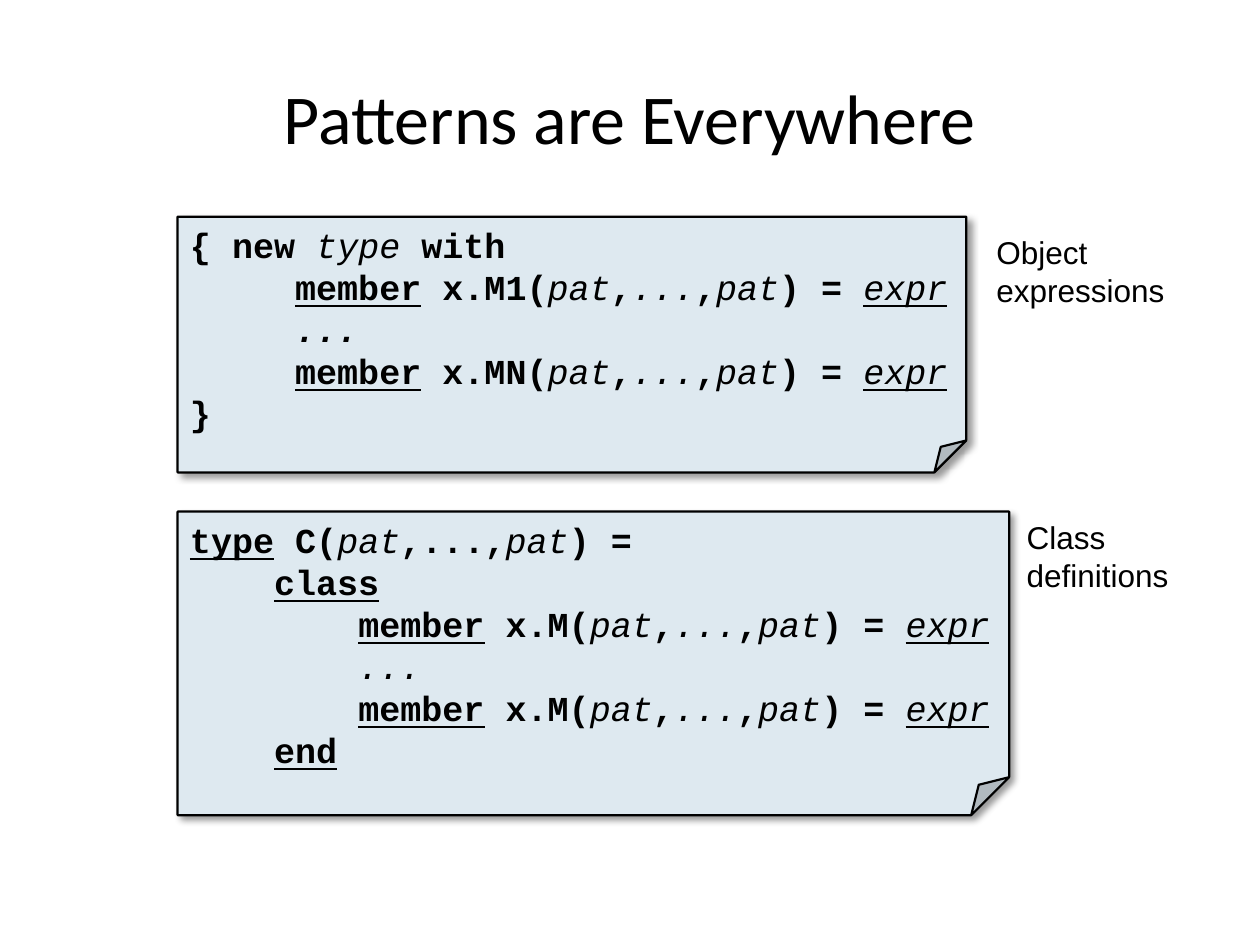
from pptx import Presentation
from pptx.dml.color import RGBColor
from pptx.enum.shapes import MSO_SHAPE
from pptx.enum.text import MSO_ANCHOR, MSO_AUTO_SIZE, PP_ALIGN
from pptx.oxml import parse_xml
from pptx.oxml.ns import nsdecls, qn
from pptx.util import Inches, Pt

FOLDED_CORNER = MSO_SHAPE.FOLDED_CORNER
TOP, MIDDLE = MSO_ANCHOR.TOP, MSO_ANCHOR.MIDDLE
GROW, FIXED = MSO_AUTO_SIZE.SHAPE_TO_FIT_TEXT, MSO_AUTO_SIZE.NONE
LEFT, CENTER = PP_ALIGN.LEFT, PP_ALIGN.CENTER

THEME = {
    "ink": RGBColor.from_string("000000"),
    "note": RGBColor.from_string("DEE9F0"),
    "title": {"name": "Calibri", "size": Pt(40)},
    "code": {"name": "Courier New", "size": Pt(20)},
    "label": {"name": "Arial", "size": Pt(18)},
}
STYLES = {
    "plain": {},
    "bold": {"bold": True},
    "keyword": {"bold": True, "underline": True},
    "italic": {"italic": True},
    "ellipsis": {"bold": True, "italic": True},
    "result": {"italic": True, "underline": True},
}


def member_line(indent, method):
    return [
        (" " * indent, "bold"), ("member", "keyword"), (f" x.{method}(", "bold"),
        ("pat", "italic"), (",", "bold"), ("...", "italic"), (",", "bold"),
        ("pat", "italic"), (") = ", "bold"), ("expr", "result"),
    ]


TITLE = "Patterns are Everywhere"
NOTES = [
    {
        "at": (1.41, 1.72, 6.26, 2.03),
        "code": [
            [("{ new ", "bold"), ("type", "italic"), (" with", "bold")],
            member_line(5, "M1"),
            [("     ", "italic"), ("...", "ellipsis")],
            member_line(5, "MN"),
            [("}", "bold")],
        ],
        "label": ["Object", "expressions"],
        "label_at": (7.81, 1.8, 1.55, 0.71),
    },
    {
        "at": (1.41, 4.06, 6.6, 2.41),
        "code": [
            [("type", "keyword"), (" C(", "bold"), ("pat", "italic"),
             (",...,", "bold"), ("pat", "italic"), (") =", "bold")],
            [("    ", "bold"), ("class", "keyword")],
            member_line(8, "M"),
            [("        ...", "italic")],
            member_line(8, "M"),
            [("    ", "bold"), ("end", "keyword")],
        ],
        "label": ["Class", "definitions"],
        "label_at": (8.05, 4.06, 1.34, 0.71),
    },
]


def write(frame, lines, role, anchor=TOP, align=LEFT, wrap=False, fit=GROW):
    layout = {"word_wrap": wrap, "auto_size": fit, "vertical_anchor": anchor}
    for name, value in layout.items():
        setattr(frame, name, value)
    for index, line in enumerate(lines):
        paragraph = frame.add_paragraph() if index else frame.paragraphs[0]
        paragraph.alignment = align
        for words, style in line:
            run = paragraph.add_run()
            run.text = words
            run.font.color.rgb = THEME["ink"]
            for name, value in {**THEME[role], **STYLES[style]}.items():
                setattr(run.font, name, value)


def add_label(slide, at, lines, role, **layout):
    box = slide.shapes.add_textbox(*map(Inches, at))
    write(box.text_frame, [[(line, "plain")] for line in lines], role, **layout)


def add_code_note(slide, at, code):
    note = slide.shapes.add_shape(FOLDED_CORNER, *map(Inches, at))
    properties = note.element.spPr
    fold = properties.find(qn("a:prstGeom")).find(qn("a:avLst"))
    fold.append(parse_xml(f'<a:gd {nsdecls("a")} name="adj" fmla="val 12500"/>'))
    note.fill.solid()
    note.fill.fore_color.rgb = THEME["note"]
    note.line.color.rgb = THEME["ink"]
    note.line.width = Pt(1.25)
    note.shadow.inherit = False
    properties.find(qn("a:effectLst")).append(parse_xml(
        f'<a:outerShdw {nsdecls("a")} blurRad="{int(Pt(4))}" dist="{int(Pt(3))}" '
        f'dir="2700000" algn="tl" rotWithShape="0"><a:srgbClr val="{THEME["ink"]}">'
        '<a:alpha val="40000"/></a:srgbClr></a:outerShdw>'
    ))
    write(note.text_frame, code, "code", anchor=MIDDLE)


def main():
    deck = Presentation()
    deck.slide_width, deck.slide_height = Inches(10), Inches(7.5)
    slide = deck.slides.add_slide(deck.slide_layouts[6])
    add_label(slide, (0.5, 0.3, 9, 1.25), [TITLE], "title",
              anchor=MIDDLE, align=CENTER, wrap=True, fit=FIXED)
    for note in NOTES:
        add_code_note(slide, note["at"], note["code"])
        add_label(slide, note["label_at"], note["label"], "label")
    deck.save("out.pptx")


if __name__ == "__main__":
    main()
